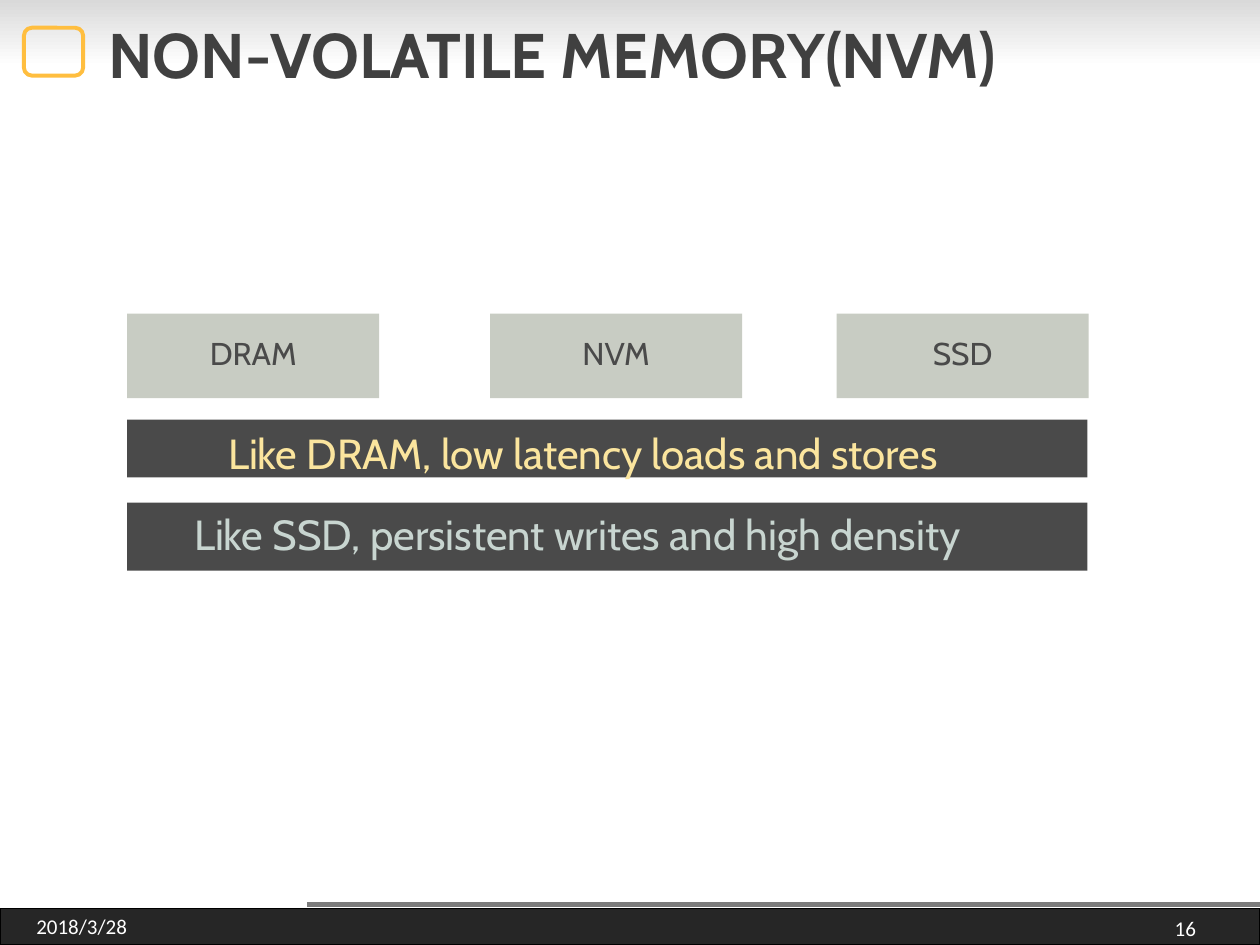
from pptx import Presentation
from pptx.dml.color import RGBColor
from pptx.enum import shapes, text
from pptx.oxml.ns import qn
from pptx.util import Inches, Pt
from lxml import etree

COLORS = {
    "shade": "D9D9D9", "white": "FFFFFF", "footer": "262626", "black": "000000",
    "rule": "7C7C7C", "emblem": "FFBE3F", "title": "404040", "box": "C8CCC3",
    "dark": "4A4A4A", "yellow": "FBE59E", "mint": "C8D5D0",
}
TITLE = "NON-VOLATILE MEMORY(NVM)"
DEVICES = [("DRAM", 1.01), ("NVM", 3.89), ("SSD", 6.64)]
TRAITS = [
    ("Like DRAM, low latency loads and stores", 3.33, 0.46, 0.8, 0.06, "yellow"),
    ("Like SSD, persistent writes and high density", 3.99, 0.54, 0.53, 0.05, "mint"),
]
FOOTERS = [
    ("2018/3/28", (0.19, 7.23, 1.01, 0.24), text.PP_ALIGN.LEFT),
    ("16", (8.54, 7.24, 1.05, 0.25), text.PP_ALIGN.RIGHT),
]


def color(name):
    return RGBColor.from_string(COLORS[name])


def write(shape, words, size, tint, font="Cabin", bold=False, spacing=None,
          align=text.PP_ALIGN.LEFT, anchor=text.MSO_ANCHOR.MIDDLE,
          insets=(0.1, 0.05, 0.1, 0.05)):
    frame = shape.text_frame
    frame.word_wrap = True
    frame.auto_size = text.MSO_AUTO_SIZE.NONE
    frame.vertical_anchor = anchor
    frame.margin_left, frame.margin_top, frame.margin_right, frame.margin_bottom = map(Inches, insets)
    paragraph = frame.paragraphs[0]
    paragraph.alignment = align
    paragraph.line_spacing = spacing
    run = paragraph.add_run()
    run.text = words
    run.font.name = font
    run.font.size = Pt(size)
    run.font.bold = bold
    run.font.color.rgb = color(tint)


def add_box(slide, place, fill=None, line=None, width=1, kind=shapes.MSO_SHAPE.RECTANGLE):
    shape = slide.shapes.add_shape(kind, *map(Inches, place))
    shape.shadow.inherit = False
    if fill:
        shape.fill.solid()
        shape.fill.fore_color.rgb = color(fill)
    else:
        shape.fill.background()
    if line:
        shape.line.color.rgb = color(line)
        shape.line.width = Pt(width)
    else:
        shape.line.fill.background()
    return shape


def paint_background(slide):
    fill = slide.background.fill
    fill.gradient()
    fill.gradient_angle = 270
    for stop, (position, name) in zip(fill.gradient_stops, [(0, "shade"), (0.07, "white")]):
        stop.position = position
        stop.color.rgb = color(name)


def add_footer(slide):
    add_box(slide, (0, 7.21, 10, 0.29), "footer", "black")
    rule = slide.shapes.add_connector(
        shapes.MSO_CONNECTOR.STRAIGHT, Inches(2.44), Inches(7.18), Inches(10), Inches(7.18))
    rule.line.color.rgb = color("rule")
    rule.line.width = Pt(3)
    etree.SubElement(rule._element.spPr, qn("a:effectLst"))
    for words, place, align in FOOTERS:
        label = slide.shapes.add_textbox(*map(Inches, place))
        write(label, words, 12, "white", font="Calibri", align=align)


def main():
    presentation = Presentation()
    presentation.slide_width, presentation.slide_height = Inches(10), Inches(7.5)
    slide = presentation.slides.add_slide(presentation.slide_layouts[5])
    paint_background(slide)
    add_footer(slide)
    add_box(slide, (0.19, 0.22, 0.47, 0.38), line="emblem", width=2.25,
            kind=shapes.MSO_SHAPE.ROUNDED_RECTANGLE)

    title = slide.shapes.title
    title.left, title.top, title.width, title.height = map(Inches, (0.76, 0.08, 8.51, 0.76))
    write(title, TITLE, 36, "title", bold=True, spacing=0.9)

    for words, left in DEVICES:
        box = add_box(slide, (left, 2.49, 2, 0.67), "box")
        write(box, words, 18, "dark", align=text.PP_ALIGN.CENTER,
              anchor=text.MSO_ANCHOR.TOP, insets=(0, 0.16, 0, 0))
    for words, top, height, indent, inset, tint in TRAITS:
        bar = add_box(slide, (1.01, top, 7.62, height), "dark")
        write(bar, words, 24, tint, anchor=text.MSO_ANCHOR.TOP, insets=(indent, inset, 0, 0))

    presentation.save("out.pptx")


if __name__ == "__main__":
    main()
